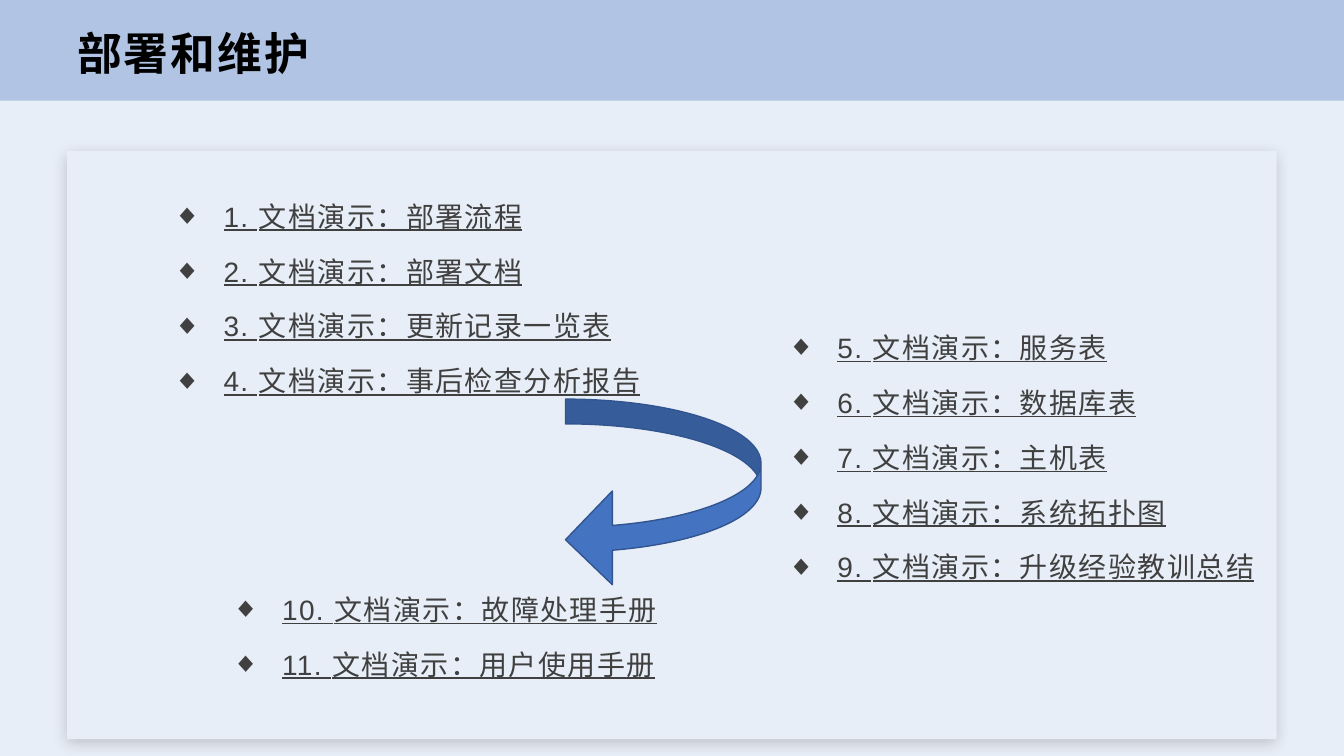
from lxml.etree import SubElement
from pptx import Presentation
from pptx.dml.color import RGBColor
from pptx.enum.lang import MSO_LANGUAGE_ID
from pptx.enum.shapes import MSO_SHAPE
from pptx.enum.text import MSO_ANCHOR, PP_ALIGN
from pptx.oxml.ns import qn
from pptx.util import Pt

TITLE = "部署和维护"
# (left, top, width, first number, document names)
DOCUMENT_GROUPS = [
    (116.6, 135, 371, 1, ["部署流程", "部署文档", "更新记录一览表", "事后检查分析报告"]),
    (555.1, 228.8, 385, 5, ["服务表", "数据库表", "主机表", "系统拓扑图", "升级经验教训总结"]),
    (158.4, 415.8, 385, 10, ["故障处理手册", "用户使用手册"]),
]

SLIDE_W, SLIDE_H = 960, 540
MARGIN, BANNER_H = 48, 72
PANEL_TOP, PANEL_H = 108, 420
ITEM_PITCH, INDENT = 39.1, 36
FONT = "Arial"
PALE, BANNER, INK, BLACK = "E8EEF7", "B1C4E3", "404040", "000000"
ARROW, ARROW_EDGE, SHADE = "4473C1", "32558F", "0D0D0D"


def color(hex_code):
    return RGBColor.from_string(hex_code)


def add_block(kind, left, top, width, height, fill, edge=None):
    block = slide.shapes.add_shape(kind, Pt(left), Pt(top), Pt(width), Pt(height))
    block.shadow.inherit = False
    block.fill.solid()
    block.fill.fore_color.rgb = color(fill)
    if edge:
        block.line.color.rgb = color(edge)
        block.line.width = Pt(1)
    else:
        block.line.fill.background()
    return block


def add_text(left, top, width, height, anchor):
    frame = slide.shapes.add_textbox(Pt(left), Pt(top), Pt(width), Pt(height)).text_frame
    frame.word_wrap = True
    frame.vertical_anchor = anchor
    return frame


def style_run(run, size, ink, spacing):
    run.font.name = FONT
    run.font.size = Pt(size)
    run.font.color.rgb = color(ink)
    run.font.language_id = MSO_LANGUAGE_ID.SIMPLIFIED_CHINESE
    properties = run.font._element
    properties.set("spc", str(int(spacing * 100)))
    SubElement(properties, qn("a:ea"), typeface=FONT)


def add_bullet(paragraph):
    """Hang a diamond bullet; call after the paragraph spacing is set."""
    properties = paragraph._p.get_or_add_pPr()
    properties.set("marL", str(Pt(INDENT)))
    properties.set("indent", str(-Pt(INDENT)))
    SubElement(SubElement(properties, qn("a:buClr")), qn("a:srgbClr"), val=INK)
    SubElement(properties, qn("a:buFont"), typeface=FONT)
    SubElement(properties, qn("a:buChar"), char="◆")


def add_soft_shadow(block):
    effects = block._element.spPr.find(qn("a:effectLst"))
    shadow = SubElement(effects, qn("a:outerShdw"), blurRad=str(Pt(10)),
                        dist=str(Pt(3)), dir="5400000", algn="t", rotWithShape="0")
    shade = SubElement(shadow, qn("a:srgbClr"), val=SHADE)
    SubElement(shade, qn("a:alpha"), val="20000")


presentation = Presentation()
presentation.slide_width, presentation.slide_height = Pt(SLIDE_W), Pt(SLIDE_H)
slide = presentation.slides.add_slide(presentation.slide_layouts[6])
slide.background.fill.solid()
slide.background.fill.fore_color.rgb = color(PALE)

content_w = SLIDE_W - 2 * MARGIN
add_block(MSO_SHAPE.RECTANGLE, 0, 0, SLIDE_W, BANNER_H, BANNER)
panel = add_block(MSO_SHAPE.RECTANGLE, MARGIN, PANEL_TOP, content_w, PANEL_H, PALE)
add_soft_shadow(panel)

heading = add_text(MARGIN, 12, content_w, 48, MSO_ANCHOR.BOTTOM)
heading.text = TITLE
heading_run = heading.paragraphs[0].runs[0]
style_run(heading_run, 32, BLACK, 1.5)
heading_run.font.bold = True

for left, top, width, first, documents in DOCUMENT_GROUPS:
    group = add_text(left, top, width, ITEM_PITCH * len(documents), MSO_ANCHOR.TOP)
    group.margin_top = group.margin_bottom = 0
    group.text = "\n".join(
        f"{number}. 文档演示：{document}" for number, document in enumerate(documents, first)
    )
    for item in group.paragraphs:
        item.alignment = PP_ALIGN.JUSTIFY
        item.line_spacing = 1.3
        item.space_after = Pt(8)
        add_bullet(item)
        style_run(item.runs[0], 20, INK, 1)
        item.runs[0].font.underline = True

turn_arrow = add_block(MSO_SHAPE.CURVED_DOWN_ARROW, 406.8, 282.2, 133.9, 139.7, ARROW, ARROW_EDGE)
turn_arrow.rotation = 90
for index, adjustment in enumerate((0.132, 0.5, 0.25)):
    turn_arrow.adjustments[index] = adjustment

presentation.save("out.pptx")
